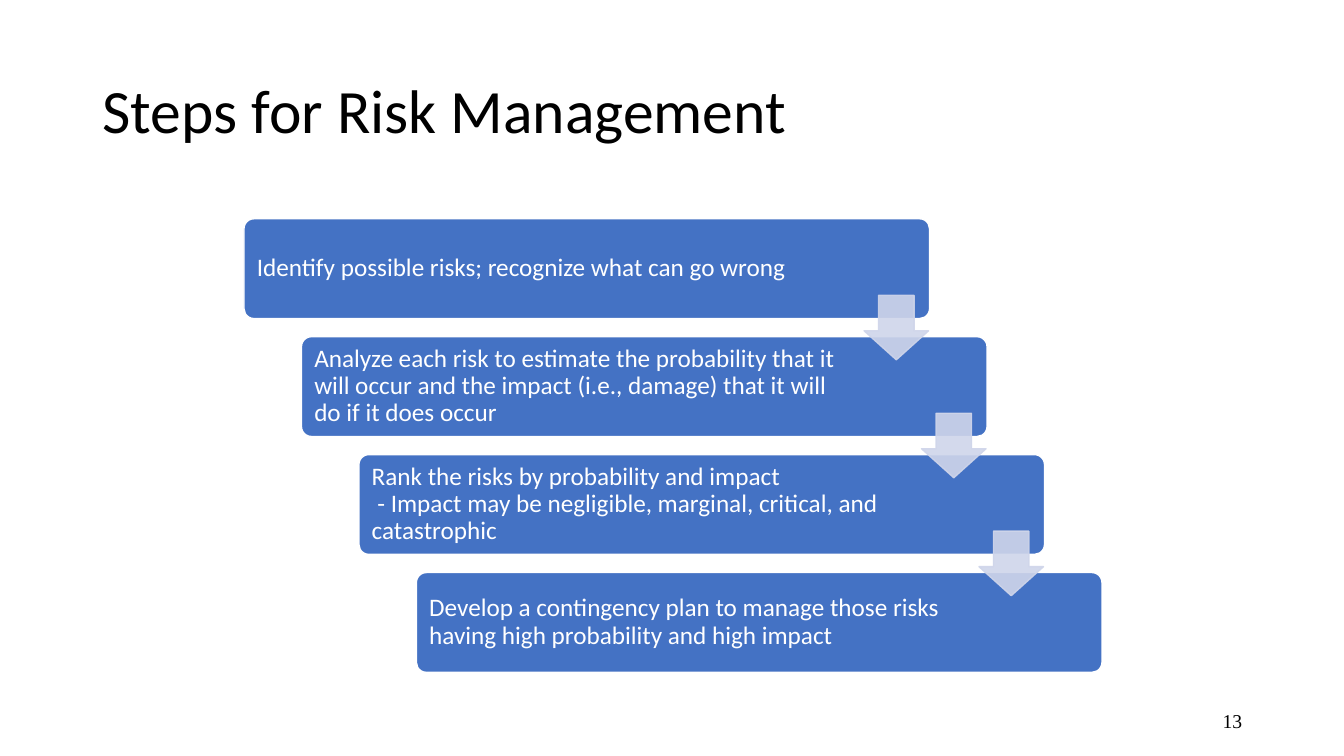
from lxml import etree
from pptx import Presentation
from pptx.dml.color import RGBColor
from pptx.enum.shapes import MSO_SHAPE as Shape
from pptx.enum.text import MSO_ANCHOR as Anchor, PP_ALIGN as Align
from pptx.oxml.ns import qn
from pptx.util import Inches, Pt

COLORS = {"black": "000000", "white": "FFFFFF", "step": "4472C4", "arrow": "CFD5EA"}

STEPS = [
    "Identify possible risks; recognize what can go wrong",
    "Analyze each risk to estimate the probability that it will occur "
    "and the impact (i.e., damage) that it will do if it does occur",
    "Rank the risks by probability and impact\n"
    " - Impact may be negligible, marginal, critical, and catastrophic",
    "Develop a contingency plan to manage those risks "
    "having high probability and high impact",
]

# Staircase geometry in inches
STEP_LEFT, STEP_TOP = 2.42, 2.17
STEP_WIDTH, STEP_HEIGHT = 6.8, 0.99
SHIFT_X, SHIFT_Y = 0.57, 1.17
ARROW_SIZE = 0.64
ARROW_OFFSET_X, ARROW_OFFSET_Y = 6.15, 0.76


def rgb(name):
    return RGBColor.from_string(COLORS[name])


def write_text(box, text, size, color="black", font="Calibri", align=Align.LEFT,
               spacing=1.0, insets=(0.1, 0.05, 0.1, 0.05)):
    frame = box.text_frame
    frame.word_wrap = True
    frame.vertical_anchor = Anchor.MIDDLE
    (frame.margin_left, frame.margin_top,
     frame.margin_right, frame.margin_bottom) = map(Inches, insets)
    para = frame.paragraphs[0]
    para.text = text
    para.alignment = align
    para.line_spacing = spacing
    for span in para.runs:
        span.font.name = font
        span.font.size = Pt(size)
        span.font.color.rgb = rgb(color)


def add_text(page, text, left, top, width, height, **style):
    box = page.shapes.add_textbox(*map(Inches, (left, top, width, height)))
    write_text(box, text, **style)


def add_block(page, kind, left, top, width, height, fill, line, adjustments):
    block = page.shapes.add_shape(kind, *map(Inches, (left, top, width, height)))
    block.shadow.inherit = False
    block.fill.solid()
    block.fill.fore_color.rgb = rgb(fill)
    block.line.color.rgb = rgb(line)
    block.line.width = Pt(1)
    for index, value in enumerate(adjustments):
        block.adjustments[index] = value
    return block


def set_opacity(block, percent):
    # Applies to both the fill and the outline colour
    for color in block._element.spPr.iter(qn("a:srgbClr")):
        etree.SubElement(color, qn("a:alpha"), val=str(percent * 1000))


def add_step(page, index, text):
    box = add_block(page, Shape.ROUNDED_RECTANGLE,
                    STEP_LEFT + index * SHIFT_X, STEP_TOP + index * SHIFT_Y,
                    STEP_WIDTH, STEP_HEIGHT, "step", "white", [0.1])
    write_text(box, text, size=18, color="white", spacing=0.9,
               insets=(0.1, 0.1, 1.32, 0.1))


def add_arrow(page, index):
    arrow = add_block(page, Shape.DOWN_ARROW,
                      STEP_LEFT + ARROW_OFFSET_X + index * SHIFT_X,
                      STEP_TOP + ARROW_OFFSET_Y + index * SHIFT_Y,
                      ARROW_SIZE, ARROW_SIZE, "arrow", "arrow", [0.55, 0.45])
    set_opacity(arrow, 90)


def main():
    deck = Presentation()
    deck.slide_width, deck.slide_height = Inches(13.33), Inches(7.5)
    page = deck.slides.add_slide(deck.slide_layouts[6])

    # Title and page number
    add_text(page, "Steps for Risk Management", 0.92, 0.4, 11.5, 1.45,
             size=44, spacing=0.9)
    add_text(page, "13", 9.42, 6.95, 3, 0.4,
             size=14, font="Times New Roman", align=Align.RIGHT)

    # Staircase of steps, with arrows on top
    for index, text in enumerate(STEPS):
        add_step(page, index, text)
    for index in range(len(STEPS) - 1):
        add_arrow(page, index)

    deck.save("out.pptx")


if __name__ == "__main__":
    main()
